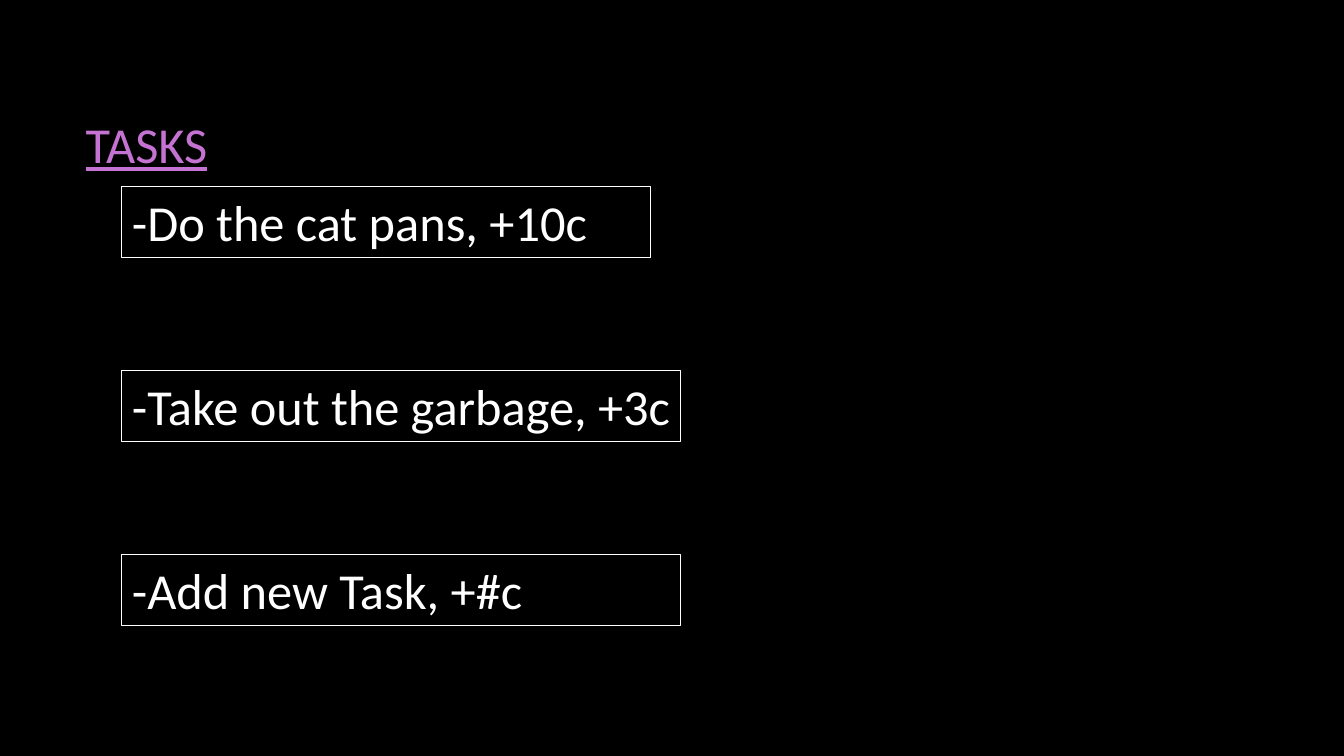
from dataclasses import dataclass

from pptx import Presentation
from pptx.dml.color import RGBColor
from pptx.enum.text import MSO_ANCHOR
from pptx.slide import Slide
from pptx.util import Pt

MIDDLE = MSO_ANCHOR.MIDDLE
BLACK = "000000"
WHITE = "FFFFFF"
ORCHID = "C573D2"
TASK_LEFT = 87.1
FIRST_TASK_TOP = 133.2
TASK_STEP = 131.4
TASK_HEIGHT = 50.9


@dataclass
class Task:
    text: str
    width: float


TASKS = [
    Task("-Do the cat pans, +10c", 377.3),
    Task("-Take out the garbage, +3c", 398.9),
    Task("-Add new Task, +#c", 398.9),
]


def color(value: str) -> RGBColor:
    return RGBColor.from_string(value)


def add_text(page: Slide, text: str, left: float, top: float, width: float,
             height: float, text_color: str):
    box = page.shapes.add_textbox(Pt(left), Pt(top), Pt(width), Pt(height))
    frame = box.text_frame
    frame.word_wrap = True
    frame.text = text
    span = frame.paragraphs[0].runs[0]
    span.font.name = "Calibri"
    span.font.size = Pt(36)
    span.font.color.rgb = color(text_color)
    return box


def add_title(page: Slide) -> None:
    box = add_text(page, "TASKS", 54, 48.2, 797.8, 114.5, ORCHID)
    box.text_frame.vertical_anchor = MIDDLE
    box.text_frame.paragraphs[0].line_spacing = 0.9
    box.text_frame.paragraphs[0].runs[0].font.underline = True


def add_task(page: Slide, task: Task, top: float) -> None:
    box = add_text(page, task.text, TASK_LEFT, top, task.width, TASK_HEIGHT, WHITE)
    box.line.color.rgb = color(WHITE)
    box.line.width = Pt(0.75)


deck = Presentation()
deck.slide_width = Pt(960)
deck.slide_height = Pt(540)
page = deck.slides.add_slide(deck.slide_layouts[6])
page.background.fill.solid()
page.background.fill.fore_color.rgb = color(BLACK)

add_title(page)
for index, task in enumerate(TASKS):
    add_task(page, task, FIRST_TASK_TOP + index * TASK_STEP)

deck.save("out.pptx")
